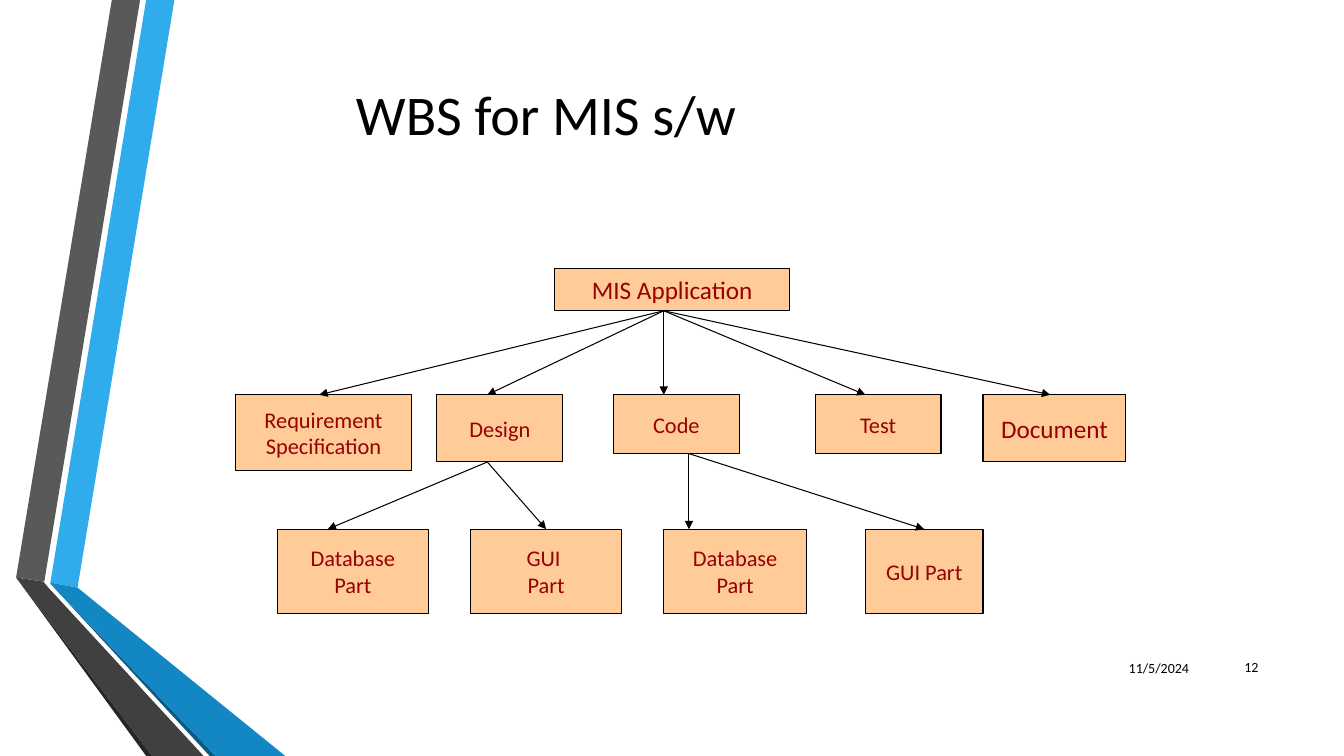
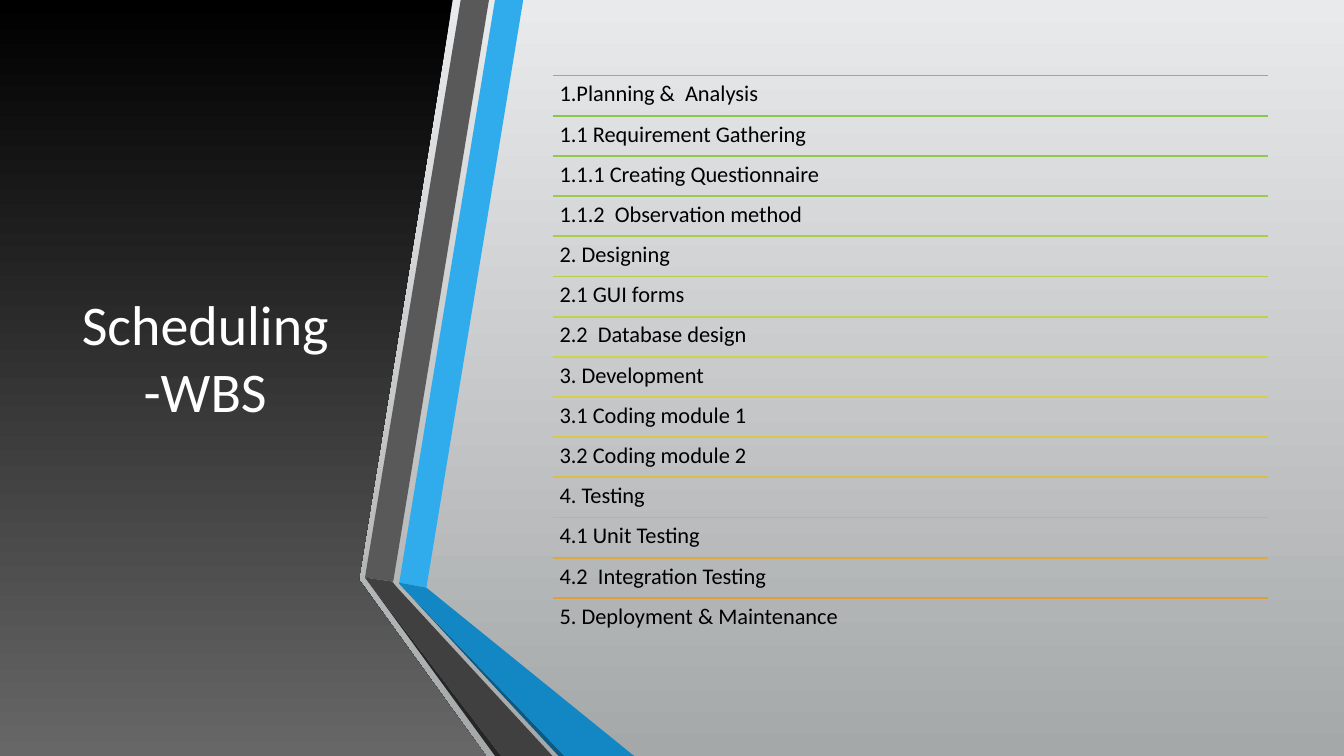
import colorsys
from lxml import etree
from pptx import Presentation, util as u
from pptx.dml.color import RGBColor
from pptx.enum import shapes, text
from pptx.oxml.ns import qn

# Shared style
FONT = "Calibri"
W, H = 13.33, 7.5
BLACK, WHITE = RGBColor(0, 0, 0), RGBColor(255, 255, 255)
PEACH, MAROON = RGBColor(0xFF, 0xCC, 0x99), RGBColor(0x99, 0, 0)
SKY, BLUE, NAVY = (RGBColor.from_string(c) for c in ("30ACEC", "1287C3", "0C5A82"))
GREY, CHARCOAL, INK = (RGBColor.from_string(c) for c in ("595959", "404040", "262626"))
PALE, SILVER, ASH = (RGBColor.from_string(c) for c in ("E9EAEB", "A5A8A9", "676767"))
GREEN, ORANGE = RGBColor(0x80, 0xC3, 0x4F), RGBColor(0xE2, 0x9D, 0x3E)
CENTER, LEFT, RIGHT = text.PP_ALIGN.CENTER, text.PP_ALIGN.LEFT, text.PP_ALIGN.RIGHT

# Folded ribbons, from back to front
RIBBONS = [
    (SKY, [(0.5, 5.78), (0.77, 5.83), (1.73, 0), (1.45, 0)]),
    (GREY, [(1.39, 0), (1.11, 0), (0.16, 5.73), (0.44, 5.77)]),
    (INK, [(0.16, 5.73), (1.45, H), (1.51, H)]),
    (NAVY, [(0.5, 5.79), (2.08, H), (2.14, H)]),
    (BLUE, [(0.5, 5.79), (2.14, H), (2.83, H), (0.77, 5.83), (0.5, 5.78)]),
    (CHARCOAL, [(2.02, H), (0.48, 5.83), (0.43, 5.77), (0.16, 5.73), (1.51, H)]),
]
RIBBON_SHIFT = 3.46
PANEL = [(0, 0), (4.49, 0), (3.56, 5.75), (4.82, H), (0, H)]

# Work breakdown tree on a grid of twelfths of an inch
CELL = 1 / 12
# Each level: top row, then (text, column, columns wide, rows high, text size)
LEVELS = [
    (32, [("MIS Application", 66, 28, 5, 18)]),
    (47, [("Requirement\nSpecification", 28, 21, 9, 16), ("Design", 52, 15, 8, 16),
          ("Code", 73, 15, 7, 16), ("Test", 97, 15, 7, 16), ("Document", 117, 17, 8, 18)]),
    (63, [("Database\nPart", 33, 18, 10, 16), ("GUI \nPart", 56, 18, 10, 16),
          ("Database\nPart", 79, 17, 10, 16), ("GUI Part", 103, 14, 10, 16)]),
]
# Arrow fans: start column and row, end row, end columns
FANS = [
    (79, 37, 47, (38, 58, 79, 103, 125)),
    (58, 55, 63, (39, 65)),
    (82, 54, 63, (82, 110)),
]
FOOTERS = [("11/5/2024", 10.64, 6.43, 1.25), ("12", 11.98, 6.42, 0.6)]

TASKS = [
    "1.Planning &  Analysis", "1.1 Requirement Gathering",
    "1.1.1 Creating Questionnaire", "1.1.2  Observation method",
    "2. Designing", "2.1 GUI forms", "2.2  Database design",
    "3. Development", "3.1 Coding module 1", "3.2 Coding module 2",
    "4. Testing", "4.1 Unit Testing", "4.2  Integration Testing",
    "5. Deployment & Maintenance",
]
BODY_TOP, BODY_H = 0.75, 5.58
LIST_X, LIST_W = 5.48, 7.1


def inches(*values):
    return [u.Inches(v) for v in values]


def write(shape, words, size, color, align=CENTER, wrap=True,
          anchor=text.MSO_ANCHOR.MIDDLE):
    tf = shape.text_frame
    tf.text = words
    tf.word_wrap = wrap
    tf.vertical_anchor = anchor
    for p in tf.paragraphs:
        p.alignment = align
        for r in p.runs:
            r.font.name, r.font.size, r.font.color.rgb = FONT, u.Pt(size), color
    return tf


def add_title(s, words, color, *box):
    title = s.shapes.title
    title.left, title.top, title.width, title.height = inches(*box)
    write(title, words, 40, color)
    s.shapes._spTree.append(title._element)  # bring to front


def add_text(s, words, size, align, *box, **options):
    return write(s.shapes.add_textbox(*inches(*box)), words, size, BLACK, align, **options)


def add_outline(s, points):
    start, *rest = [inches(*point) for point in points]
    builder = s.shapes.build_freeform(*start, scale=1.0)
    builder.add_line_segments(rest, close=True)
    sp = builder.convert_to_shape()
    sp.shadow.inherit = False
    sp.line.fill.background()
    return sp


def add_ribbons(s, shift=0):
    for color, points in RIBBONS:
        sp = add_outline(s, [(x + shift, y) for x, y in points])
        sp.fill.solid()
        sp.fill.fore_color.rgb = color


def fade_down(fill, top, bottom):
    fill.gradient()
    fill.gradient_angle = 270
    for stop, position, color in zip(fill.gradient_stops, (0, 1), (top, bottom)):
        stop.position, stop.color.rgb = position, color


def add_line(s, color, width, *ends, arrow=False):
    line = s.shapes.add_connector(shapes.MSO_CONNECTOR.STRAIGHT, *inches(*ends))
    line.line.color.rgb, line.line.width = color, u.Pt(width)
    if arrow:
        etree.SubElement(line.line._get_or_add_ln(), qn("a:tailEnd"), type="triangle")
    etree.SubElement(line._element.spPr, qn("a:effectLst"))


def blend(start, end, share):
    """Mix two colours by hue, lightness and saturation."""
    a, b = (colorsys.rgb_to_hls(*(v / 255 for v in c)) for c in (start, end))
    mixed = colorsys.hls_to_rgb(*(x + (y - x) * share for x, y in zip(a, b)))
    return RGBColor(*(round(v * 255) for v in mixed))


def build_tree(s):
    add_ribbons(s)
    add_title(s, "WBS for MIS s/w", BLACK, 0.75, 0.6, 9.33, 1.04)
    for words, x, y, width in FOOTERS:
        add_text(s, words, 10, RIGHT, x, y, width, 0.4)
    for row, boxes in LEVELS:
        for words, col, cols, rows, size in boxes:
            box = inches(*(n * CELL for n in (col, row, cols, rows)))
            sp = s.shapes.add_shape(shapes.MSO_SHAPE.RECTANGLE, *box)
            sp.shadow.inherit = False
            sp.fill.solid()
            sp.fill.fore_color.rgb = PEACH
            sp.line.color.rgb, sp.line.width = BLACK, u.Pt(0.75)
            write(sp, words, size, MAROON, wrap=False)
    for col, row, end_row, end_cols in FANS:
        for end_col in end_cols:
            ends = (n * CELL for n in (col, row, end_col, end_row))
            add_line(s, BLACK, 0.75, *ends, arrow=True)


def build_schedule(s):
    fade_down(s.background.fill, PALE, SILVER)
    fade_down(add_outline(s, PANEL).fill, BLACK, ASH)
    add_title(s, "Scheduling -WBS", WHITE, 0.59, BODY_TOP, 2.89, BODY_H)
    add_ribbons(s, RIBBON_SHIFT)
    pitch = BODY_H / len(TASKS)
    for i, task in enumerate(TASKS):
        y = BODY_TOP + i * pitch
        color = blend(GREEN, ORANGE, i / (len(TASKS) - 1))
        add_line(s, color, 1.25, LIST_X, y, LIST_X + LIST_W, y)
        tf = add_text(s, task, 16, LEFT, LIST_X, y, LIST_W, pitch,
                      anchor=text.MSO_ANCHOR.TOP)
        tf.margin_left = tf.margin_right = tf.margin_top = tf.margin_bottom = u.Inches(0.07)
        tf.paragraphs[0].line_spacing = 0.9


def main():
    prs = Presentation()
    prs.slide_width, prs.slide_height = inches(W, H)
    for build in (build_tree, build_schedule):
        build(prs.slides.add_slide(prs.slide_layouts[5]))
    prs.save("out.pptx")


if __name__ == "__main__":
    main()
